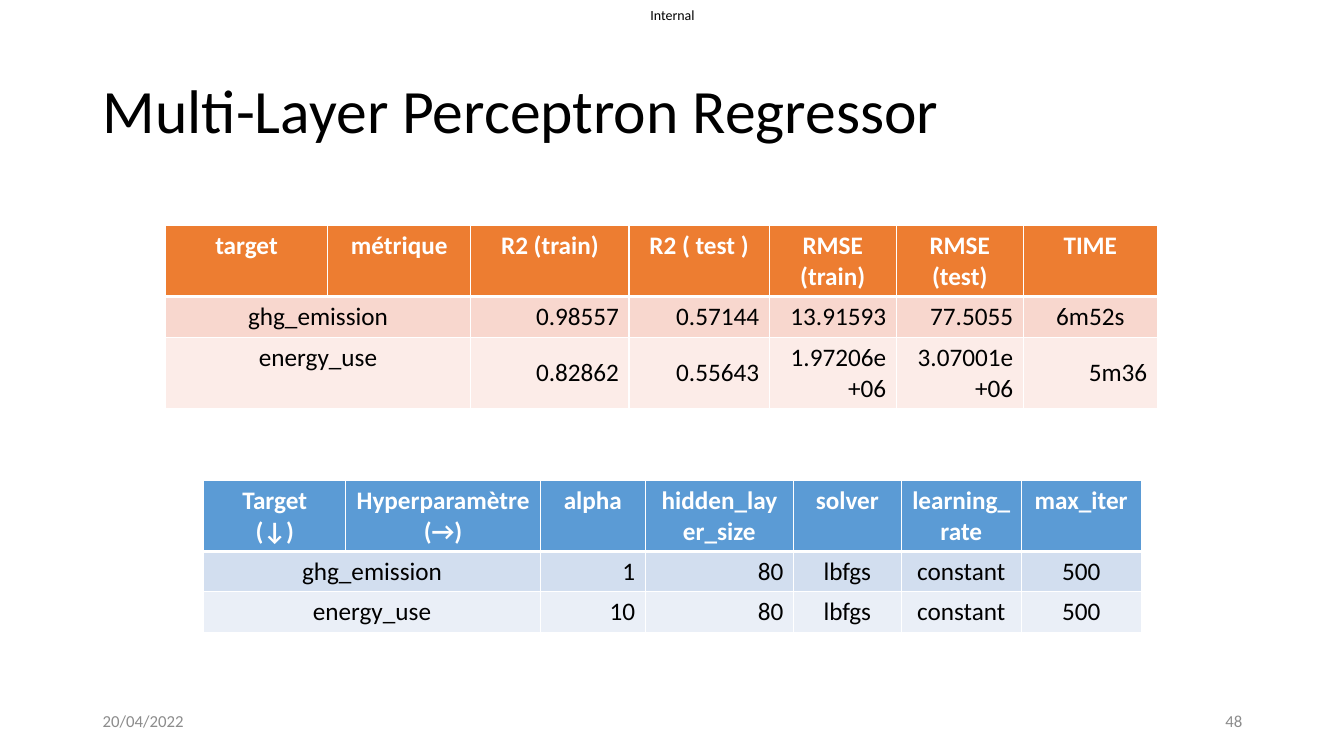
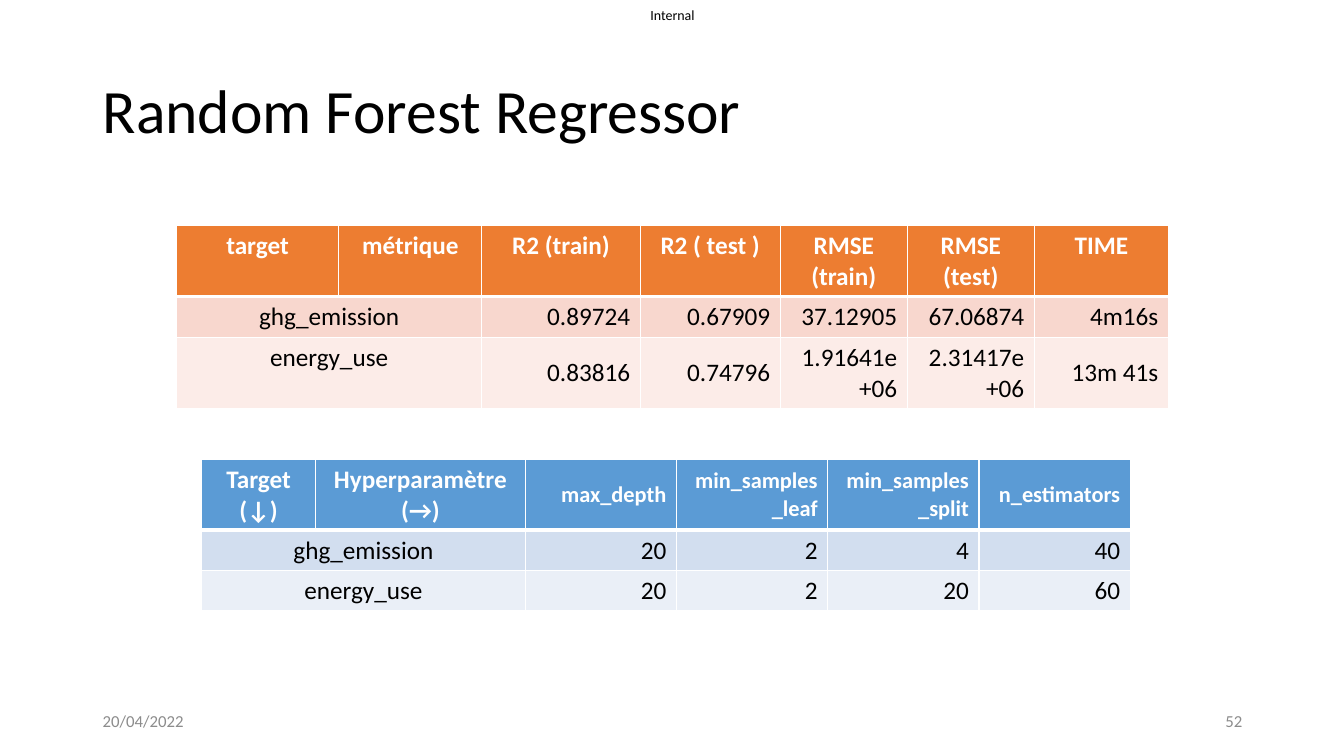
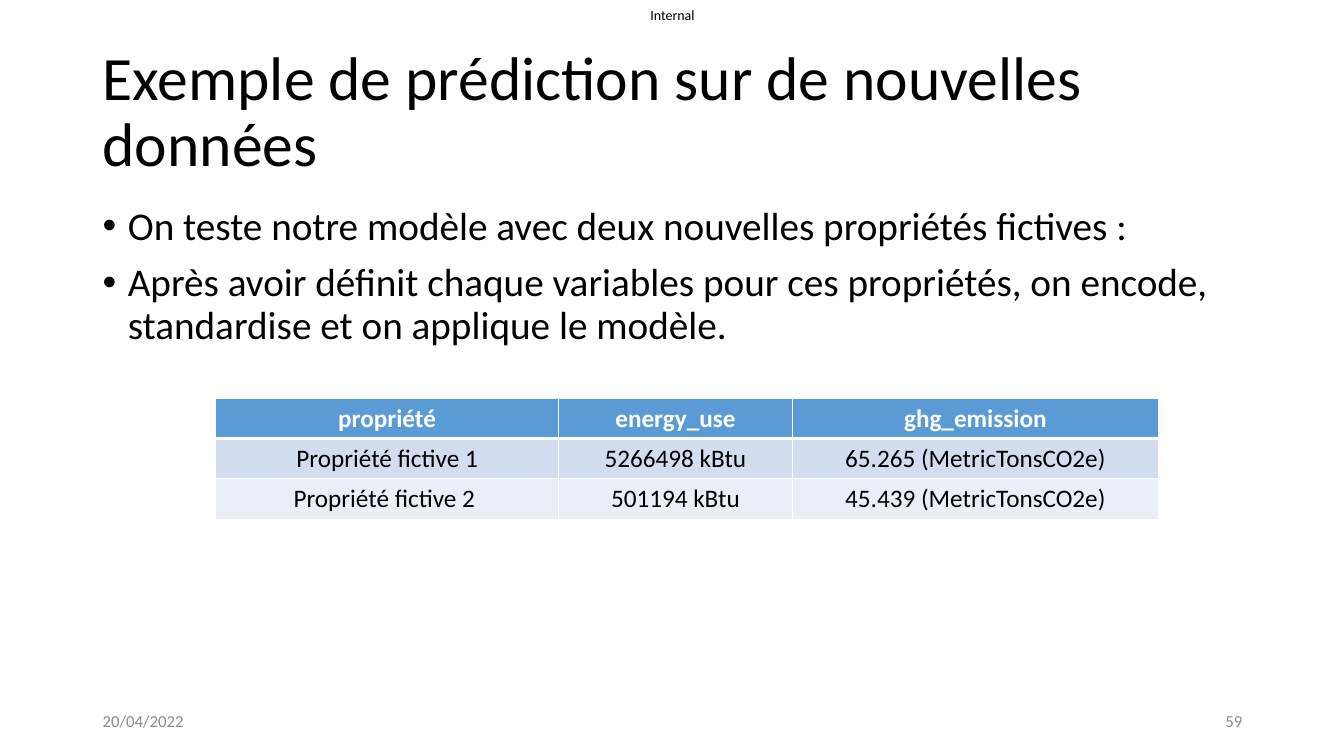
from lxml import etree
from pptx import Presentation
from pptx.dml.color import RGBColor
from pptx.enum.text import MSO_ANCHOR, PP_ALIGN
from pptx.oxml.ns import qn
from pptx.util import Inches, Pt

LEFT, CENTER, RIGHT = PP_ALIGN.LEFT, PP_ALIGN.CENTER, PP_ALIGN.RIGHT
TOP, MIDDLE = MSO_ANCHOR.TOP, MSO_ANCHOR.MIDDLE

FONT = "Calibri"
COLORS = {"text": "000000", "white": "FFFFFF", "footer": "8C8C8C"}
TABLE_FILLS = {  # header, first row, second row
    "orange": ("ED7D31", "F8D7CE", "FCECE8"),
    "blue": ("5B9BD5", "D2DEEF", "EAEFF7"),
}
MARGIN, CONTENT_WIDTH = 0.92, 11.5
DATE = "20/04/2022"
BODY_INDENT = 0.25

METRIC_HEADERS = ["target", "métrique", "R2 (train)", "R2 ( test )",
                  "RMSE (train)", "RMSE (test)", "TIME"]
METRIC_COLUMNS = [1.61, 1.42, 1.57, 1.39, 1.26, 1.26, 1.33]
METRIC_ROWS = [0.7, 0.41, 0.7]
PARAMETER_ROWS = [0.7, 0.4, 0.4]
PARAMETER_HEADERS = ["Target\n(↓)", "Hyperparamètre\n(→)"]


def write_text(frame, text, size=18, color="text", bold=False, align=LEFT,
               anchor=TOP, line_spacing=None, space_before=None, bullet=False):
    """Fill a text frame, one paragraph for each line of text."""
    frame.word_wrap = True
    frame.vertical_anchor = anchor
    for index, line in enumerate(text.split("\n")):
        paragraph = frame.add_paragraph() if index else frame.paragraphs[0]
        paragraph.alignment = align
        if line_spacing:
            paragraph.line_spacing = line_spacing
        if space_before:
            paragraph.space_before = Pt(space_before)
        if bullet:
            add_bullet(paragraph)
        run = paragraph.add_run()
        run.text = line
        run.font.name = FONT
        run.font.size = Pt(size)
        run.font.bold = bold
        run.font.color.rgb = RGBColor.from_string(COLORS[color])


def add_bullet(paragraph):
    properties = paragraph._p.get_or_add_pPr()
    properties.set("marL", str(Inches(BODY_INDENT)))
    properties.set("indent", str(-Inches(BODY_INDENT)))
    etree.SubElement(properties, qn("a:buFont")).set("typeface", "Arial")
    etree.SubElement(properties, qn("a:buChar")).set("char", "•")


def add_text(slide, box, text, inset=True, **text_format):
    shape = slide.shapes.add_textbox(*map(Inches, box))
    frame = shape.text_frame
    if not inset:
        frame.margin_left = frame.margin_right = 0
        frame.margin_top = frame.margin_bottom = 0
    write_text(frame, text, **text_format)


def set_borders(cell, bottom_width):
    properties = cell._tc.get_or_add_tcPr()
    for side, width in (("L", 1), ("R", 1), ("T", 1), ("B", bottom_width)):
        line = etree.SubElement(properties, qn(f"a:ln{side}"), w=str(Pt(width)))
        fill = etree.SubElement(line, qn("a:solidFill"))
        etree.SubElement(fill, qn("a:srgbClr"), val=COLORS["white"])


def add_table(slide, left, top, columns, heights, rows, alignments, palette):
    """Alignments hold one letter a cell: c is centred at the top, r is right and
    in the middle. A cell of None is merged into the one on its left."""
    shape = slide.shapes.add_table(
        len(rows), len(columns), Inches(left), Inches(top),
        Inches(sum(columns)), Inches(sum(heights)))
    table = shape.table
    for column, width in zip(table.columns, columns):
        column.width = Inches(width)
    for row, height in zip(table.rows, heights):
        row.height = Inches(height)
    for row_index, (texts, letters) in enumerate(zip(rows, alignments)):
        header = row_index == 0
        for column_index, (text, letter) in enumerate(zip(texts, letters)):
            cell = table.cell(row_index, column_index)
            set_borders(cell, 3 if header else 1)
            cell.fill.solid()
            cell.fill.fore_color.rgb = RGBColor.from_string(
                TABLE_FILLS[palette][row_index])
            if text is None:
                table.cell(row_index, column_index - 1).merge(cell)
                continue
            to_right = letter == "r"
            write_text(cell.text_frame, text,
                       size=16 if header and to_right else 18,
                       color="white" if header else "text", bold=header,
                       align=RIGHT if to_right else CENTER)
            cell.vertical_anchor = MIDDLE if to_right else TOP


def add_target_table(slide, left, top, columns, heights, headers, emission,
                     energy, alignments, palette):
    rows = [headers, ["ghg_emission", None] + emission,
            ["energy_use", None] + energy]
    add_table(slide, left, top, columns, heights, rows, alignments, palette)


def add_base_slide(presentation, title, number):
    slide = presentation.slides.add_slide(presentation.slide_layouts[6])
    add_text(slide, (6.3, 0, 0.74, 0.29), "Internal", inset=False, size=10,
             align=CENTER, anchor=MIDDLE)
    add_text(slide, (MARGIN, 0.4, CONTENT_WIDTH, 1.45), title, size=44,
             anchor=MIDDLE, line_spacing=0.9)
    footer_width = 3
    for text, left, align in (
            (DATE, MARGIN, LEFT),
            (str(number), MARGIN + CONTENT_WIDTH - footer_width, RIGHT)):
        add_text(slide, (left, 6.95, footer_width, 0.4), text, size=12,
                 color="footer", align=align, anchor=MIDDLE)
    return slide


def add_regressor_slide(presentation, title, number, metrics, parameters):
    slide = add_base_slide(presentation, title, number)
    add_target_table(slide, top=2.24, columns=METRIC_COLUMNS, heights=METRIC_ROWS,
                     headers=METRIC_HEADERS, palette="orange", **metrics)
    add_target_table(slide, heights=PARAMETER_ROWS, palette="blue", **parameters)


def add_prediction_slide(presentation, title, number, body, rows):
    slide = add_base_slide(presentation, title, number)
    add_text(slide, (MARGIN, 2, CONTENT_WIDTH, 4.76), body, size=28,
             line_spacing=0.9, space_before=10, bullet=True)
    add_table(slide, 2.14, 3.95, [3.4, 2.32, 3.63], [0.4] * 3, rows,
              ["ccc"] * 3, "blue")


def main():
    presentation = Presentation()
    presentation.slide_width = Inches(13.33)
    presentation.slide_height = Inches(7.5)

    add_regressor_slide(
        presentation, "Multi-Layer Perceptron Regressor", 48,
        metrics=dict(
            left=1.64,
            emission=["0.98557", "0.57144", "13.91593", "77.5055", "6m52s"],
            energy=["0.82862", "0.55643", "1.97206e+06", "3.07001e+06", "5m36"],
            alignments=["ccccccc", "ccrrrrc", "ccrrrrr"]),
        parameters=dict(
            left=2.02, top=4.77,
            columns=[1.41, 1.93, 1.04, 1.47, 1.07, 1.19, 1.19],
            headers=PARAMETER_HEADERS + ["alpha", "hidden_layer_size", "solver",
                                         "learning_rate", "max_iter"],
            emission=["1", "80", "lbfgs", "constant", "500"],
            energy=["10", "80", "lbfgs", "constant", "500"],
            alignments=["ccccccc", "ccrrccc", "ccrrccc"]))

    add_regressor_slide(
        presentation, "Random Forest Regressor", 52,
        metrics=dict(
            left=1.75,
            emission=["0.89724", "0.67909", "37.12905", "67.06874", "4m16s"],
            energy=["0.83816", "0.74796", "1.91641e+06", "2.31417e+06", "13m 41s"],
            alignments=["ccccccc", "ccrrrrr", "ccrrrrr"]),
        parameters=dict(
            left=2, top=4.56, columns=[1.13, 2.08] + [1.5] * 4,
            headers=PARAMETER_HEADERS + ["max_depth", "min_samples_leaf",
                                         "min_samples_split", "n_estimators"],
            emission=["20", "2", "4", "40"],
            energy=["20", "2", "20", "60"],
            alignments=["ccrrrr"] * 3))

    add_prediction_slide(
        presentation, "Exemple de prédiction sur de nouvelles données", 59,
        body="On teste notre modèle avec deux nouvelles propriétés fictives :\n"
             "Après avoir définit chaque variables pour ces propriétés, on encode, "
             "standardise et on applique le modèle.",
        rows=[["propriété", "energy_use", "ghg_emission"],
              ["Propriété fictive 1", "5266498 kBtu", "65.265 (MetricTonsCO2e)"],
              ["Propriété fictive 2 ", "501194 kBtu", "45.439 (MetricTonsCO2e)"]])

    presentation.save("out.pptx")


if __name__ == "__main__":
    main()
